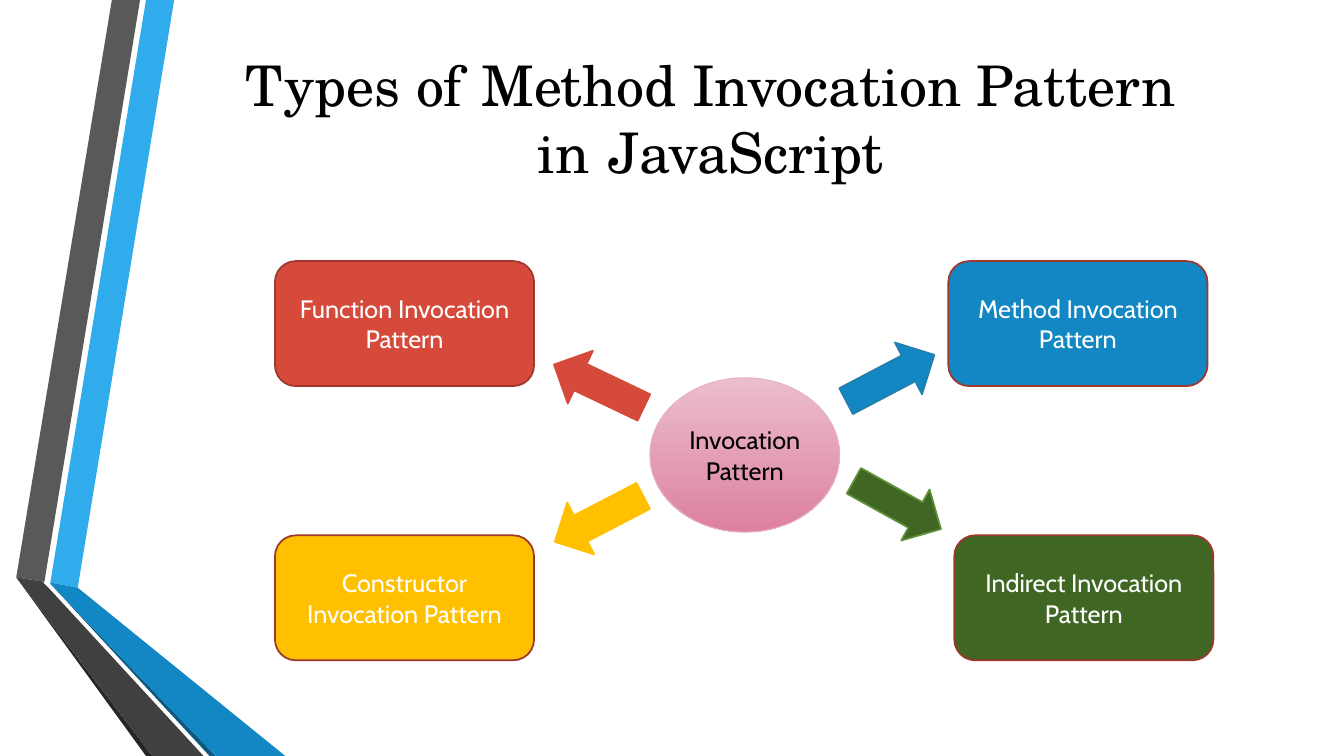
from dataclasses import dataclass

from pptx import Presentation
from pptx.dml.color import RGBColor
from pptx.enum.shapes import MSO_SHAPE
from pptx.enum.text import MSO_ANCHOR, PP_ALIGN
from pptx.util import Cm, Pt

ROUNDED = MSO_SHAPE.ROUNDED_RECTANGLE
ELLIPSE = MSO_SHAPE.OVAL
ARROW = MSO_SHAPE.RIGHT_ARROW
MIDDLE = MSO_ANCHOR.MIDDLE
CENTER = PP_ALIGN.CENTER


@dataclass(frozen=True)
class Theme:
    title_font: str = "TeX Gyre Schola"
    body_font: str = "Cabin"
    title_size: int = 40
    body_size: int = 18
    outline: float = 1.25
    thin_outline: float = 0.75
    black: str = "000000"
    white: str = "FFFFFF"
    red: str = "D64A3B"
    dark_red: str = "9E372C"
    blue: str = "1287C3"
    blue_edge: str = "247FAF"
    light_blue: str = "30ACEC"
    deep_blue: str = "0C5A82"
    yellow: str = "FFC000"
    green: str = "3F6623"
    green_edge: str = "5F903A"
    pale_pink: str = "EBBECD"
    pink: str = "DD80A2"
    pink_edge: str = "E8B1C3"
    gray: str = "595959"
    dark_gray: str = "404040"
    near_black: str = "262626"


THEME = Theme()

RIBBONS = [
    (THEME.light_blue, [(1.27, 14.68), (1.96, 14.81), (4.39, 0), (3.68, 0)]),
    (THEME.gray, [(3.53, 0), (2.82, 0), (0.41, 14.55), (1.12, 14.66)]),
    (THEME.near_black, [(0.41, 14.55), (3.68, 19.05), (3.84, 19.05)]),
    (THEME.deep_blue, [(1.27, 14.71), (5.28, 19.05), (5.44, 19.05)]),
    (THEME.blue, [(1.27, 14.71), (5.44, 19.05), (7.19, 19.05),
                  (1.96, 14.81), (1.27, 14.68)]),
    (THEME.dark_gray, [(5.13, 19.05), (1.22, 14.81), (1.09, 14.68),
                       (1.12, 14.66), (0.41, 14.55), (3.84, 19.05)]),
]

BOX_SIZE = (6.53, 3.15)
TOP_ROW, BOTTOM_ROW = 6.58, 13.49
PATTERNS = [
    ("Function Invocation Pattern", 6.93, TOP_ROW, THEME.red),
    ("Method Invocation Pattern", 23.9, TOP_ROW, THEME.blue),
    ("Constructor Invocation Pattern", 6.93, BOTTOM_ROW, THEME.yellow),
    ("Indirect Invocation Pattern", 24.05, BOTTOM_ROW, THEME.green),
]

ARROW_SIZE = (2.51, 1.47)
ARROWS = [
    (21.18, 8.79, 332.3, THEME.blue, THEME.blue_edge),
    (21.36, 11.99, 29, THEME.green, THEME.green_edge),
    (13.84, 8.99, 205.5, THEME.red, THEME.red),
    (13.84, 12.34, 152.5, THEME.yellow, THEME.yellow),
]


def rgb(color):
    return RGBColor.from_string(color)


def paint(shape, fill, edge=None, width=THEME.outline):
    shape.shadow.inherit = False
    if isinstance(fill, tuple):
        shape.fill.gradient()
        shape.fill.gradient_angle = 270
        for stop, color in zip(shape.fill.gradient_stops, fill):
            stop.color.rgb = rgb(color)
    else:
        shape.fill.solid()
        shape.fill.fore_color.rgb = rgb(fill)
    if edge:
        shape.line.color.rgb = rgb(edge)
        shape.line.width = Pt(width)
    else:
        shape.line.fill.background()


def write(shape, text, font, size, color):
    frame = shape.text_frame
    frame.word_wrap = True
    frame.vertical_anchor = MIDDLE
    frame.text = text
    for paragraph in frame.paragraphs:
        paragraph.alignment = CENTER
        paragraph.font.name = font
        paragraph.font.size = Pt(size)
        paragraph.font.color.rgb = rgb(color)


def add_ribbon(slide, color, corners):
    start, *others = [(Cm(x), Cm(y)) for x, y in corners]
    outline = slide.shapes.build_freeform(*start)
    outline.add_line_segments(others, close=True)
    paint(outline.convert_to_shape(), color)


def add_title(slide, text):
    title = slide.shapes.add_textbox(Cm(3.99), Cm(0.53), Cm(27.84), Cm(4.88))
    write(title, text, THEME.title_font, THEME.title_size, THEME.black)


def add_pattern(slide, label, left, top, color):
    box = slide.shapes.add_shape(ROUNDED, Cm(left), Cm(top), *map(Cm, BOX_SIZE))
    paint(box, color, THEME.dark_red)
    write(box, label, THEME.body_font, THEME.body_size, THEME.white)


def add_hub(slide, label):
    hub = slide.shapes.add_shape(ELLIPSE, Cm(16.38), Cm(9.52), Cm(4.78), Cm(3.89))
    paint(hub, (THEME.pale_pink, THEME.pink), THEME.pink_edge, THEME.thin_outline)
    write(hub, label, THEME.body_font, THEME.body_size, THEME.black)


def add_arrow(slide, left, top, rotation, color, edge):
    arrow = slide.shapes.add_shape(ARROW, Cm(left), Cm(top), *map(Cm, ARROW_SIZE))
    arrow.rotation = rotation
    paint(arrow, color, edge)


def main():
    deck = Presentation()
    deck.slide_width, deck.slide_height = Cm(33.87), Cm(19.05)
    slide = deck.slides.add_slide(deck.slide_layouts[6])
    for ribbon in RIBBONS:
        add_ribbon(slide, *ribbon)
    add_title(slide, "Types of\u00a0Method Invocation Pattern in\u00a0JavaScript")
    for pattern in PATTERNS:
        add_pattern(slide, *pattern)
    add_hub(slide, "Invocation\nPattern")
    for arrow in ARROWS:
        add_arrow(slide, *arrow)
    deck.save("out.pptx")


main()
